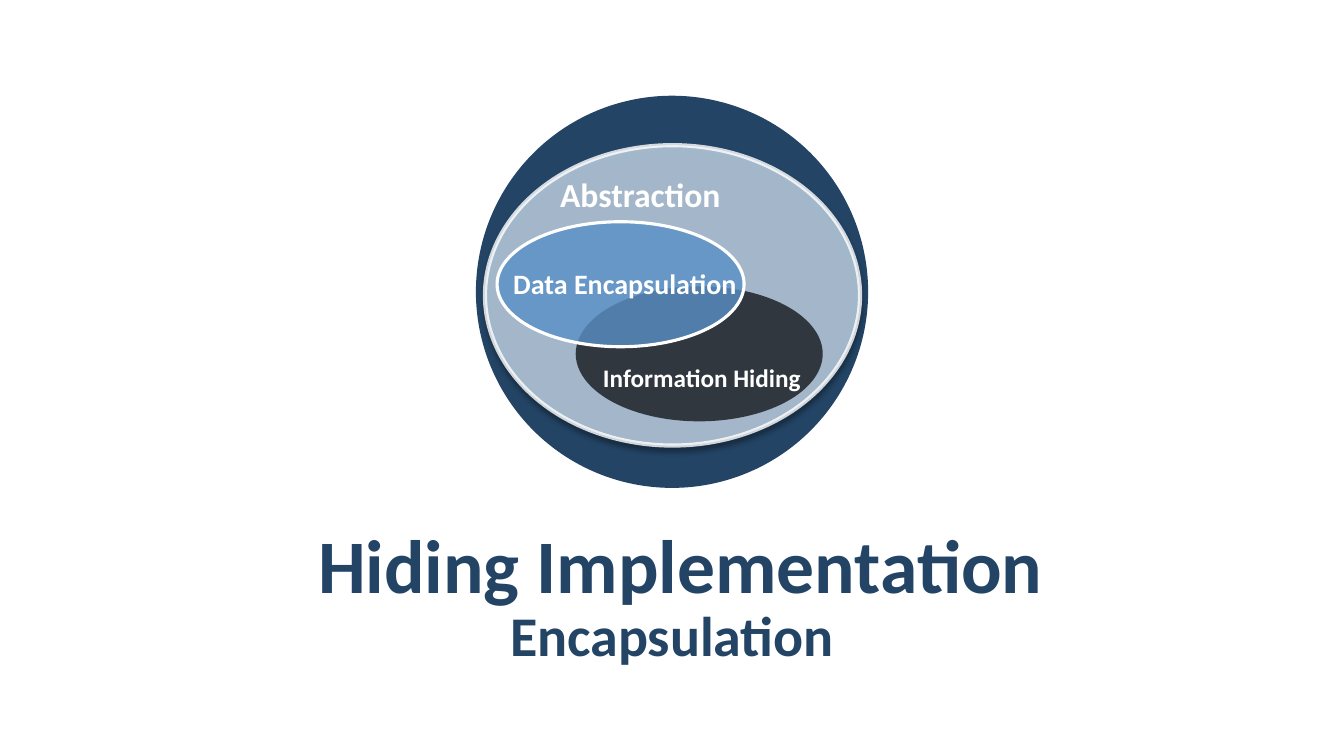
from lxml import etree
from pptx import Presentation
from pptx.dml.color import RGBColor
from pptx.enum.shapes import MSO_SHAPE
from pptx.enum.text import MSO_ANCHOR, PP_ALIGN
from pptx.oxml import parse_xml
from pptx.oxml.ns import qn
from pptx.util import Inches, Pt

OVAL = MSO_SHAPE.OVAL
TOP, MIDDLE = MSO_ANCHOR.TOP, MSO_ANCHOR.MIDDLE
LEFT, CENTER = PP_ALIGN.LEFT, PP_ALIGN.CENTER
DRAWING_NAMESPACE = "http://schemas.openxmlformats.org/drawingml/2006/main"

COLORS = {
    "navy": "234465",
    "pale_blue": "C7DAEC",
    "charcoal": "15171C",
    "blue": "588FC5",
    "white": "FFFFFF",
}
HEADING = {
    "color": "navy", "anchor": MIDDLE, "margins": (0.12, 0.04),
    "paragraph": {"alignment": CENTER, "line_spacing": 1.05,
                  "space_before": Pt(6), "space_after": Pt(6)},
}
LABEL = {
    "color": "white", "anchor": TOP, "margins": (0.16, 0.12),
    "paragraph": {"alignment": LEFT, "line_spacing": 1.1},
}


def add_oval(slide, box, fill, line_width=0, opacities=()):
    shape = slide.shapes.add_shape(OVAL, *map(Inches, box))
    shape.shadow.inherit = False
    shape.fill.solid()
    shape.fill.fore_color.rgb = RGBColor.from_string(COLORS[fill])
    if line_width:
        shape.line.color.rgb = RGBColor.from_string(COLORS["white"])
        shape.line.width = Pt(line_width)
    else:
        shape.line.fill.background()
    for color, opacity in zip(shape.element.spPr.iter(qn("a:srgbClr")), opacities):
        etree.SubElement(color, qn("a:alpha"), val=str(opacity * 1000))
    return shape


def add_text(slide, text, box, size, style):
    shape = slide.shapes.add_textbox(*map(Inches, box))
    frame = shape.text_frame
    horizontal, vertical = map(Inches, style["margins"])
    frame_format = {
        "word_wrap": True, "vertical_anchor": style["anchor"],
        "margin_left": horizontal, "margin_right": horizontal,
        "margin_top": vertical, "margin_bottom": vertical,
    }
    for name, value in frame_format.items():
        setattr(frame, name, value)
    paragraph = frame.paragraphs[0]
    for name, value in style["paragraph"].items():
        setattr(paragraph, name, value)
    run = paragraph.add_run()
    run.text = text
    for name, value in {"name": "Calibri", "size": Pt(size), "bold": True}.items():
        setattr(run.font, name, value)
    run.font.color.rgb = RGBColor.from_string(COLORS[style["color"]])


presentation = Presentation()
presentation.slide_width = Inches(13.33)
presentation.slide_height = Inches(7.5)
slide = presentation.slides.add_slide(presentation.slide_layouts[6])

add_oval(slide, (4.72, 0.95, 3.89, 3.89), "navy")
add_text(slide, " Hiding Implementation", (0.67, 5.15, 11.99, 0.84), 54, HEADING)
add_text(slide, "Encapsulation", (0.67, 6, 11.99, 0.55), 40, HEADING)

abstraction = add_oval(slide, (4.81, 1.44, 3.72, 2.98), "pale_blue", 3, (80, 80))
abstraction.element.spPr.find(qn("a:effectLst")).append(parse_xml(
    f'<a:outerShdw xmlns:a="{DRAWING_NAMESPACE}" blurRad="{Pt(4)}" dist="{Pt(3)}" '
    'dir="5400000" rotWithShape="0"><a:srgbClr val="000000">'
    '<a:alpha val="40000"/></a:srgbClr></a:outerShdw>'
))
add_text(slide, " Abstraction", (5.32, 1.57, 2.47, 0.68), 24, LABEL)

add_oval(slide, (5.71, 2.84, 2.45, 1.34), "charcoal", opacities=(80,))
add_oval(slide, (4.93, 2.2, 2.45, 1.24), "blue", 2.25, (80,))
add_text(slide, "Information Hiding", (5.82, 3.44, 3.11, 0.57), 18, LABEL)
add_text(slide, "Data Encapsulation", (4.93, 2.49, 3.33, 0.61), 20, LABEL)

presentation.save("out.pptx")
